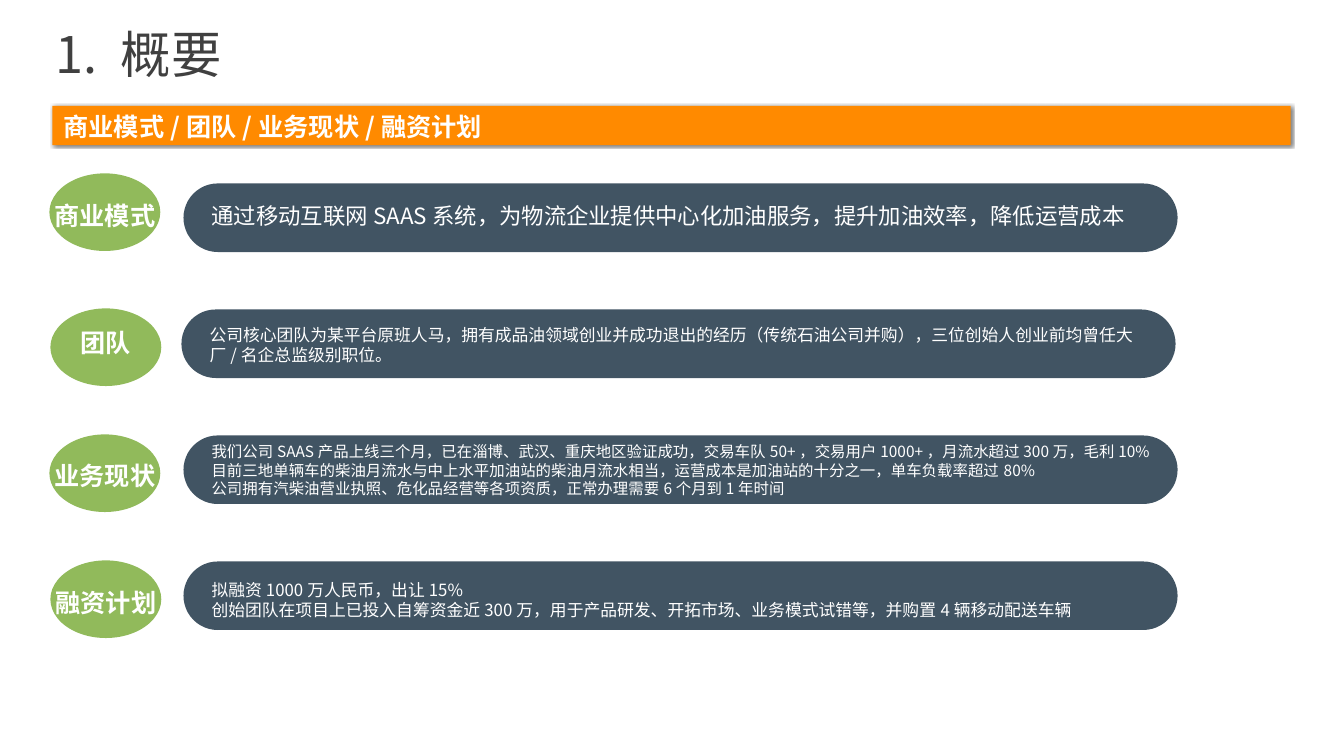
"""Build the business overview slide with four labelled summary bars."""
from lxml.etree import SubElement
from pptx import Presentation
from pptx.dml.color import RGBColor
from pptx.enum.shapes import MSO_SHAPE
from pptx.enum.text import MSO_AUTO_SIZE, PP_ALIGN
from pptx.oxml.ns import qn
from pptx.util import Inches, Pt

THEME = {
    "font": "Noto Sans CJK SC",
    "orange": "FF8A00", "green": "91BA5B", "slate": "415463",
    "title": "404040", "white": "FFFFFF", "shadow": "000000",
    "title_size": 36, "heading_size": 18,
}
TITLE = "1. 概要"
BANNER = "商业模式/团队/业务现状/融资计划"
ROWS = [
    {"label": "商业模式", "size": 16, "left": 1.82, "oval": (0.49, 1.72),
     "label_top": 1.94, "text_top": 1.96, "text_height": 0.37,
     "lines": ["通过移动互联网SAAS系统，为物流企业提供中心化加油服务，提升加油效率，降低运营成本"]},
    {"label": "团队", "size": 12, "left": 1.8, "oval": (0.5, 3.06),
     "label_top": 3.2, "text_top": 3.17, "text_height": 0.5,
     "lines": ["公司核心团队为某平台原班人马，拥有成品油领域创业并成功退出的经历（传统石油公司并购），"
               "三位创始人创业前均曾任大厂/名企总监级别职位。"]},
    {"label": "业务现状", "size": 11, "left": 1.82, "oval": (0.49, 4.31),
     "label_top": 4.52, "text_top": 4.34, "text_height": 0.66,
     "lines": ["我们公司SAAS产品上线三个月，已在淄博、武汉、重庆地区验证成功，"
               "交易车队50+，交易用户1000+，月流水超过300万，毛利10%",
               "目前三地单辆车的柴油月流水与中上水平加油站的柴油月流水相当，"
               "运营成本是加油站的十分之一，单车负载率超过80%",
               "公司拥有汽柴油营业执照、危化品经营等各项资质，正常办理需要6个月到1年时间"]},
    {"label": "融资计划", "size": 12, "left": 1.82, "oval": (0.5, 5.56),
     "label_top": 5.78, "text_top": 5.7, "text_height": 0.5,
     "lines": ["拟融资1000万人民币，出让15%",
               "创始团队在项目上已投入自筹资金近300万，用于产品研发、开拓市场、"
               "业务模式试错等，并购置4辆移动配送车辆"]},
]
FIRST_BAR_TOP, ROW_PITCH = 1.82, 1.25
BAR_WIDTH, BAR_HEIGHT = 9.86, 0.68
OVAL_WIDTH, OVAL_HEIGHT = 1.1, 0.77
LABEL_WIDTH, LABEL_HEIGHT = 1.55, 0.4
TEXT_INDENT, TEXT_WIDTH = 0.18, 9.52


def add_block(slide, kind, box, color):
    shape = slide.shapes.add_shape(kind, *map(Inches, box))
    shape.shadow.inherit = False
    shape.fill.solid()
    shape.fill.fore_color.rgb = RGBColor.from_string(THEME[color])
    shape.line.fill.background()
    return shape


def add_shadow(shape):
    effects = shape.element.spPr.find(qn("a:effectLst"))
    shadow = SubElement(effects, qn("a:outerShdw"), blurRad=str(Pt(2)),
                        dist=str(Pt(1)), dir=str(45 * 60000), rotWithShape="0")
    color = SubElement(shadow, qn("a:srgbClr"), val=THEME["shadow"])
    SubElement(color, qn("a:alpha"), val="50000")


def add_text(slide, box, lines, size, color="white", bold=False,
             align=PP_ALIGN.LEFT, inset=True, spacing=None):
    text_frame = slide.shapes.add_textbox(*map(Inches, box)).text_frame
    text_frame.word_wrap = True
    text_frame.auto_size = MSO_AUTO_SIZE.SHAPE_TO_FIT_TEXT
    if not inset:
        text_frame.margin_left = text_frame.margin_right = 0
        text_frame.margin_top = text_frame.margin_bottom = 0
    text_frame.text = "\n".join(lines)
    for paragraph in text_frame.paragraphs:
        paragraph.alignment = align
        paragraph.line_spacing = spacing
        for run in paragraph.runs:
            run.font.name = THEME["font"]
            run.font.size = Pt(size)
            run.font.bold = bold
            run.font.color.rgb = RGBColor.from_string(THEME[color])
            SubElement(run.font._element, qn("a:ea"), typeface=THEME["font"])


def add_row(slide, index, row):
    bar_top = FIRST_BAR_TOP + index * ROW_PITCH
    bar = add_block(slide, MSO_SHAPE.ROUNDED_RECTANGLE,
                    (row["left"], bar_top, BAR_WIDTH, BAR_HEIGHT), "slate")
    bar.adjustments[0] = 0.5
    add_text(slide, (row["left"] + TEXT_INDENT, row["text_top"],
                     TEXT_WIDTH, row["text_height"]), row["lines"], row["size"])
    oval_left, oval_top = row["oval"]
    add_block(slide, MSO_SHAPE.OVAL,
              (oval_left, oval_top, OVAL_WIDTH, OVAL_HEIGHT), "green")
    label_left = oval_left + (OVAL_WIDTH - LABEL_WIDTH) / 2
    add_text(slide, (label_left, row["label_top"], LABEL_WIDTH, LABEL_HEIGHT),
             [row["label"]], THEME["heading_size"], bold=True, align=PP_ALIGN.CENTER)


def main():
    presentation = Presentation()
    presentation.slide_width = Inches(13.33)
    presentation.slide_height = Inches(7.5)
    slide = presentation.slides.add_slide(presentation.slide_layouts[6])
    banner = add_block(slide, MSO_SHAPE.RECTANGLE, (0.52, 1.05, 12.28, 0.39), "orange")
    add_shadow(banner)
    add_text(slide, (0.55, 0.35, 12.26, 0.48), [TITLE], THEME["title_size"],
             color="title", inset=False, spacing=0.8)
    add_text(slide, (0.63, 1.1, 11.69, 0.3), [BANNER], THEME["heading_size"],
             bold=True, inset=False)
    for index, row in enumerate(ROWS):
        add_row(slide, index, row)
    presentation.save("out.pptx")


if __name__ == "__main__":
    main()
